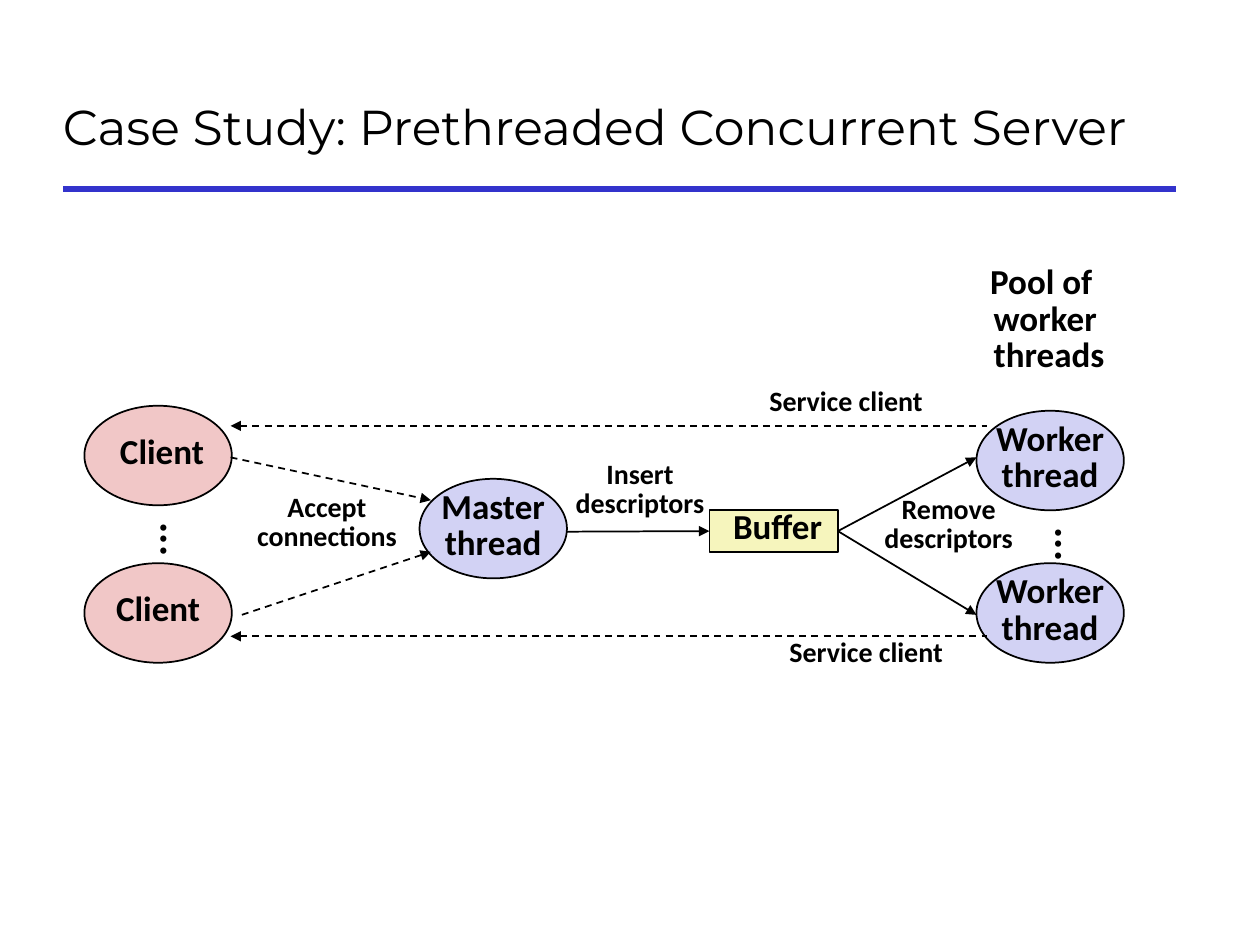
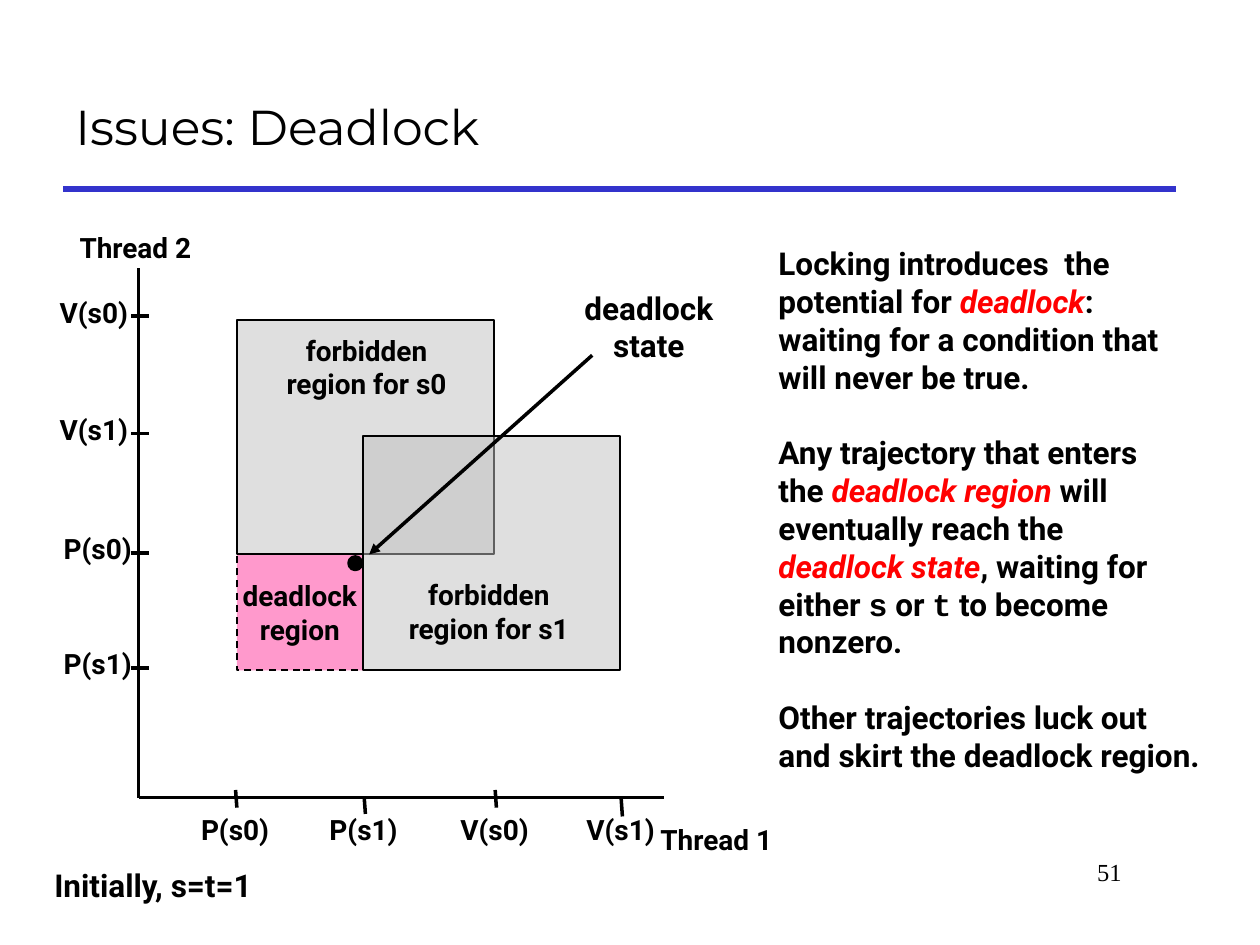
from dataclasses import dataclass
from typing import NamedTuple, Optional, Sequence, Union

import pptx
import pptx.dml.color
import pptx.enum.dml
import pptx.enum.shapes
import pptx.enum.text
import pptx.oxml.ns
import pptx.oxml.xmlchemy
import pptx.util
from lxml import etree
from pptx.util import Inches

COLORS = {
    "ink": "000000",
    "rule": "3333CC",
    "thread": "D2D2F4",
    "client": "F1C7C7",
    "buffer": "F6F5BD",
    "deadlock": "FF99CC",
    "forbidden": "C0C0C0",
    "emphasis": "FF0000",
}
SHAPES = pptx.enum.shapes.MSO_SHAPE
ALIGN = pptx.enum.text.PP_ALIGN
ANCHOR = pptx.enum.text.MSO_ANCHOR
AUTO_SIZE = pptx.enum.text.MSO_AUTO_SIZE

# Text formats used by whole groups of labels
NODE_TEXT = dict(size=20, font="Calibri", line_spacing=0.7, space=4)
NOTE_TEXT = dict(size=16, font="Calibri", line_spacing=0.7, space=3.2)
PLOT_TEXT = dict(size=16, font="Roboto")


class Span(NamedTuple):
    text: str
    color: str = "ink"
    italic: bool = False
    font: Optional[str] = None


class Line(NamedTuple):
    spans: Sequence[Span]
    gap: float = 0


@dataclass(frozen=True)
class Node:
    text: str
    left: float
    top: float
    color: str
    width: float = 1.17
    height: float = 0.79
    shape: int = SHAPES.OVAL


@dataclass(frozen=True)
class Label:
    text: str
    left: float
    top: float
    width: float
    height: float


@dataclass(frozen=True)
class Link:
    start: tuple[float, float]
    end: tuple[float, float]
    width: float = 1
    dashed: bool = False
    head: bool = False
    tail: bool = True


class Tick(NamedTuple):
    text: str
    position: float
    offset: float


def rgb(name: str) -> pptx.dml.color.RGBColor:
    return pptx.dml.color.RGBColor.from_string(COLORS[name])


# Shared drawing functions
def write_text(frame, text: Union[str, Sequence[Line]], *, size: float, font: str,
               bold: bool = True, align=ALIGN.CENTER, anchor=ANCHOR.MIDDLE,
               line_spacing: Optional[float] = None, space: float = 0,
               wrap: bool = False, grow: bool = True, inset: float = 0.05) -> None:
    """Fill a frame with lines of plain text or of formatted spans."""
    lines = text
    if isinstance(text, str):
        lines = [Line([Span(part)], space) for part in text.split("\n")]
    frame.word_wrap = wrap
    frame.auto_size = AUTO_SIZE.SHAPE_TO_FIT_TEXT if grow else AUTO_SIZE.NONE
    frame.vertical_anchor = anchor
    frame.margin_left = frame.margin_right = Inches(0.1)
    frame.margin_top = frame.margin_bottom = Inches(inset)
    for index, line in enumerate(lines):
        para = frame.add_paragraph() if index else frame.paragraphs[0]
        para.alignment = align
        if line_spacing:
            para.line_spacing = line_spacing
        para.space_before = pptx.util.Pt(line.gap if index else 0)
        for span in line.spans:
            run = para.add_run()
            run.text = span.text
            run.font.name = span.font or font
            run.font.size = pptx.util.Pt(size)
            run.font.bold = bold
            run.font.italic = span.italic
            run.font.color.rgb = rgb(span.color)


def add_label(page, label: Label, **text_format):
    box = page.shapes.add_textbox(Inches(label.left), Inches(label.top),
                                  Inches(label.width), Inches(label.height))
    write_text(box.text_frame, label.text, **text_format)
    return box


def add_node(page, node: Node, *, dashed: bool = False, line_width: float = 1,
             opacity: Optional[int] = None, **text_format):
    shape = page.shapes.add_shape(node.shape, Inches(node.left), Inches(node.top),
                                  Inches(node.width), Inches(node.height))
    shape.shadow.inherit = False
    shape.fill.solid()
    shape.fill.fore_color.rgb = rgb(node.color)
    shape.line.color.rgb = rgb("ink")
    shape.line.width = pptx.util.Pt(line_width)
    if dashed:
        shape.line.dash_style = pptx.enum.dml.MSO_LINE.DASH
    if opacity is not None:
        fill = shape.element.spPr.find(pptx.oxml.ns.qn("a:solidFill"))
        etree.SubElement(fill[0], pptx.oxml.ns.qn("a:alpha"), val=str(opacity * 1000))
    if node.text:
        write_text(shape.text_frame, node.text, grow=False, inset=0, **text_format)
    return shape


def add_link(page, link: Link, color: str = "ink"):
    connector = page.shapes.add_connector(
        pptx.enum.shapes.MSO_CONNECTOR.STRAIGHT,
        *(Inches(value) for value in (*link.start, *link.end)))
    connector.line.color.rgb = rgb(color)
    connector.line.width = pptx.util.Pt(link.width)
    if link.dashed:
        connector.line.dash_style = pptx.enum.dml.MSO_LINE.DASH
    properties = connector.element.spPr
    outline = properties.find(pptx.oxml.ns.qn("a:ln"))
    for tag, wanted in (("a:headEnd", link.head), ("a:tailEnd", link.tail)):
        if wanted:
            etree.SubElement(outline, pptx.oxml.ns.qn(tag), type="triangle")
    etree.SubElement(properties, pptx.oxml.ns.qn("a:effectLst"))
    return connector


def add_page(deck, title: str, title_left: float):
    page = deck.slides.add_slide(deck.slide_layouts[6])
    add_link(page, Link((0.5, 1.5), (9.33, 1.5), width=3, tail=False), "rule")
    add_label(page, Label(title, title_left, 0.5, 9.36, 1), size=28, font="Montserrat",
              bold=False, align=ALIGN.LEFT, wrap=True, grow=False)
    return page


# Slide 1: clients, master thread, buffer and worker pool
def build_server_page(deck) -> None:
    page = add_page(deck, "Case Study: Prethreaded Concurrent Server", 0.4)
    nodes = [
        Node("Master\nthread", 3.33, 3.8, "thread"),
        Node("Worker\nthread", 7.75, 3.26, "thread"),
        Node("Worker\nthread", 7.75, 4.47, "thread"),
        Node(" Client", 0.67, 3.22, "client"),
        Node("Client", 0.67, 4.47, "client"),
    ]
    for node in nodes:
        add_node(page, node, **NODE_TEXT)
    buffer = add_node(page, Node(" Buffer", 5.63, 4.05, "buffer", 1.02, 0.33,
                                 SHAPES.RECTANGLE), **NODE_TEXT)

    # Descriptors pass through the buffer
    add_link(page, Link((4.5, 4.22), (5.63, 4.22))).end_connect(buffer, 1)
    for worker_y in (3.63, 4.88):
        add_link(page, Link((6.65, 4.22), (7.75, worker_y))).begin_connect(buffer, 3)

    # Connections and replies
    for start, end in (((1.83, 3.63), (3.42, 3.97)), ((1.92, 4.88), (3.42, 4.38))):
        add_link(page, Link(start, end, dashed=True))
    for service_y in (3.38, 5.05):
        add_link(page, Link((1.83, service_y), (7.83, service_y),
                            dashed=True, head=True, tail=False))

    notes = [
        Label("Accept\nconnections", 1.93, 3.9, 1.33, 0.53),
        Label("Insert\ndescriptors", 4.46, 3.64, 1.24, 0.53),
        Label("Remove\ndescriptors", 6.91, 3.92, 1.24, 0.53),
        Label("Service client", 6, 3.06, 1.43, 0.3),
        Label("Service client", 6.16, 5.05, 1.43, 0.3),
    ]
    for note in notes:
        add_label(page, note, **NOTE_TEXT)
    add_label(page, Label("Pool of \nworker\n threads", 7.72, 2.08, 1.15, 0.96), **NODE_TEXT)

    # Vertical dots between the repeated nodes
    for left, top, align in ((1.11, 4.05, ALIGN.CENTER), (8.21, 4.09, ALIGN.LEFT)):
        dots = add_label(page, Label("...", left, top, 0.5, 0.37), size=24,
                         font="Calibri", line_spacing=0.7, align=align)
        dots.element.txBody.bodyPr.set("vert", "eaVert")


# Slide 2: progress graph with its deadlock region
def build_deadlock_page(deck) -> None:
    page = add_page(deck, "Issues: Deadlock", 0.5)
    add_label(page, Label("51", 7.58, 6.75, 1.42, 0.5), size=14, font="Times New Roman",
              bold=False, align=ALIGN.RIGHT, anchor=ANCHOR.TOP, wrap=True, grow=False)

    # Regions
    region = dict(shape=SHAPES.RECTANGLE)
    add_node(page, Node("deadlock\nregion", 1.88, 4.4, "deadlock", 1, 0.92, **region),
             dashed=True, **PLOT_TEXT)
    for left, top in ((1.88, 2.54), (2.88, 3.46)):
        add_node(page, Node("", left, top, "forbidden", 2.04, 1.86, **region), opacity=50)
    for name, left, top in (("s0", 2.13, 2.64), ("s1", 3.1, 4.58)):
        add_label(page, Label(f"forbidden\nregion for {name}", left, top, 1.56, 0.54),
                  inset=0, **PLOT_TEXT)

    # Axes
    origin = (1.1, 6.33)
    for end in ((1.1, 2.13), (5.27, 6.33)):
        add_link(page, Link(origin, end, width=2, tail=False))
    add_label(page, Label("Thread 1", 5.12, 6.48, 1.13, 0.37), **PLOT_TEXT)
    add_label(page, Label("Thread 2", 0.51, 1.78, 1.13, 0.37), **PLOT_TEXT)

    # Ticks: offset is the tick's top on thread 1, the label's left on thread 2
    thread_1 = [Tick("P(s0)", 1.87, 6.27), Tick("P(s1)", 2.89, 6.32),
                Tick("V(s0)", 3.93, 6.27), Tick("V(s1)", 4.93, 6.34)]
    thread_2 = [Tick("V(s0)", 2.51, 0.37), Tick("V(s1)", 3.44, 0.37),
                Tick("P(s0)", 4.39, 0.4), Tick("P(s1)", 5.3, 0.4)]
    for text, x, top in thread_1:
        add_link(page, Link((x, top), (x + 0.01, top + 0.14), width=2, tail=False))
        add_label(page, Label(text, x - 0.38, 6.4, 0.75, 0.37), **PLOT_TEXT)
    for text, y, left in thread_2:
        add_link(page, Link((1.04, y), (1.18, y), width=2, tail=False))
        add_label(page, Label(text, left, y - 0.22, 0.75, 0.37), **PLOT_TEXT)

    # Deadlock state and starting values
    add_node(page, Node("", 2.77, 4.42, "ink", 0.1, 0.1), line_width=2)
    add_label(page, Label("deadlock\nstate", 4.51, 2.29, 1.28, 0.6),
              size=18, font="Roboto", inset=0)
    add_link(page, Link((4.7, 2.82), (2.93, 4.4), width=2))
    add_label(page, Label("Initially, s=t=1", 0.29, 6.87, 1.85, 0.3),
              size=18, font="Roboto", inset=0)

    # Explanation
    def key(text: str) -> Span:
        return Span(text, "emphasis", True)

    def code(text: str) -> Span:
        return Span(text, font="Courier New")

    block_gap = 21.6
    explanation = [
        Line([Span("Locking introduces  the")]),
        Line([Span("potential for "), key("deadlock"), Span(":")]),
        Line([Span("waiting for a condition that")]),
        Line([Span("will never be true.")]),
        Line([Span("Any trajectory that enters")], block_gap),
        Line([Span("the "), key("deadlock region "), Span("will")]),
        Line([Span("eventually reach the")]),
        Line([key("deadlock state"), Span(", waiting for either "), code("s"),
              Span(" or "), code("t"), Span(" to become nonzero.")]),
        Line([Span("Other trajectories luck out and skirt the deadlock region.")], block_gap),
    ]
    box = page.shapes.add_textbox(Inches(6.08), Inches(1.94), Inches(3.59), Inches(4.81))
    write_text(box.text_frame, explanation, size=18, font="Roboto", align=ALIGN.LEFT,
               anchor=ANCHOR.TOP, wrap=True, inset=0)


def main() -> None:
    deck = pptx.Presentation()
    deck.slide_width, deck.slide_height = Inches(10), Inches(7.5)
    build_server_page(deck)
    build_deadlock_page(deck)
    deck.save("out.pptx")


if __name__ == "__main__":
    main()
